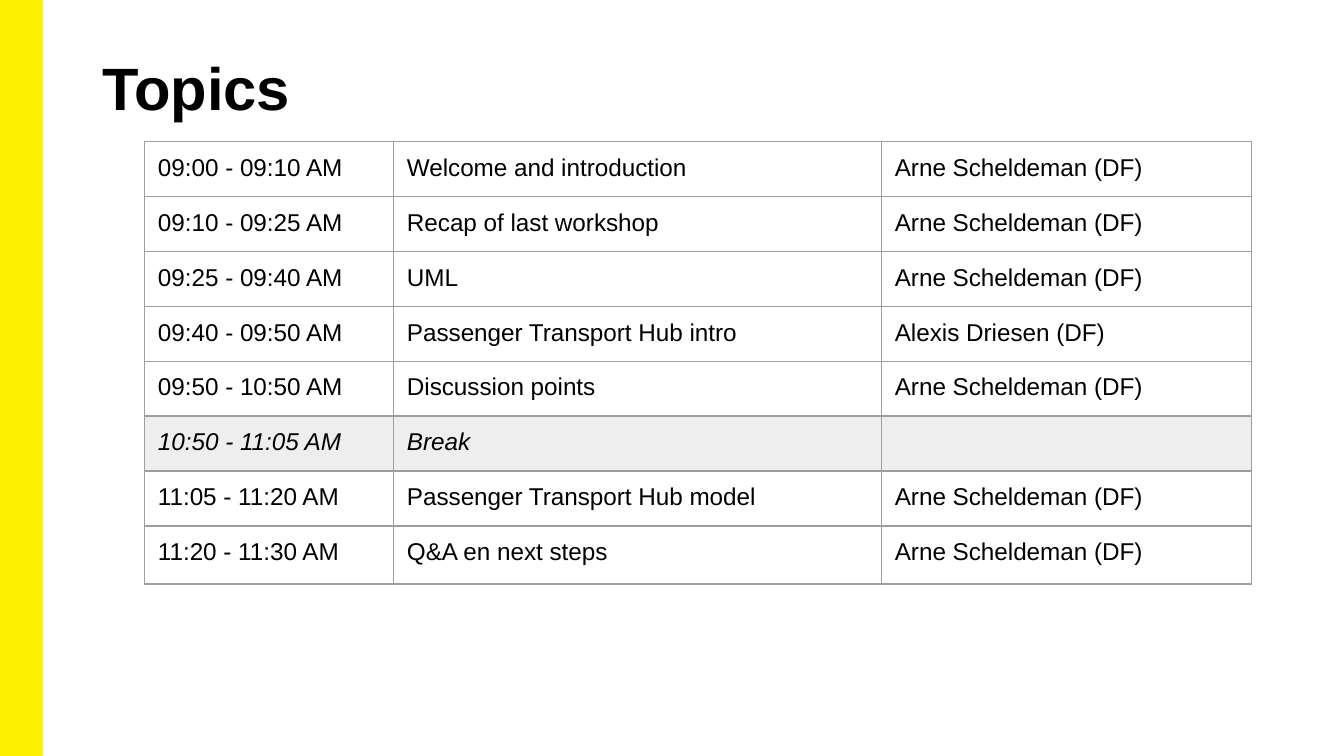
"""Build the workshop agenda slide with its table of topics."""
import pptx
import pptx.util
import pptx.dml.color
import pptx.enum.shapes
import pptx.enum.text
import pptx.oxml
import pptx.oxml.ns
from lxml import etree

Pt = pptx.util.Pt
COLOURS = {"accent": "FFF200", "text": "000000", "border": "9E9E9E",
           "plain": "FFFFFF", "break": "EEEEEE"}
HOST = "Arne Scheldeman (DF)"
AGENDA = [
    ("09:00 - 09:10 AM", "Welcome and introduction", HOST),
    ("09:10 - 09:25 AM", "Recap of last workshop", HOST),
    ("09:25 - 09:40 AM", "UML", HOST),
    ("09:40 - 09:50 AM", "Passenger Transport Hub intro", "Alexis Driesen (DF)"),
    ("09:50 - 10:50 AM", "Discussion points", HOST),
    ("10:50 - 11:05 AM", "Break", ""),
    ("11:05 - 11:20 AM", "Passenger Transport Hub model", HOST),
    ("11:20 - 11:30 AM", "Q&A en next steps", HOST),
]
COLUMN_WIDTHS = [133.4, 261.4, 198.2]
ROW_HEIGHT = 28.9
LAST_ROW_HEIGHT = 31.1


def rgb(name):
    return pptx.dml.color.RGBColor.from_string(COLOURS[name])


def add_span(para, text, size, bold=False, italic=False):
    span = para.add_run()
    span.text = text
    span.font.name = "Arial"
    span.font.size = Pt(size)
    span.font.bold = bold
    span.font.italic = italic
    span.font.color.rgb = rgb("text")


deck = pptx.Presentation()
deck.slide_width, deck.slide_height = Pt(720), Pt(405)
page = deck.slides.add_slide(deck.slide_layouts[6])

stripe = page.shapes.add_shape(
    pptx.enum.shapes.MSO_SHAPE.RECTANGLE, 0, 0, Pt(22.5), Pt(405))
stripe.shadow.inherit = False
stripe.fill.solid()
stripe.fill.fore_color.rgb = rgb("accent")
stripe.line.color.rgb = rgb("accent")
stripe.line.width = Pt(1)

title = page.shapes.add_textbox(Pt(49.7), Pt(21.6), Pt(620.6), Pt(58.3))
frame = title.text_frame
frame.word_wrap = True
frame.vertical_anchor = pptx.enum.text.MSO_ANCHOR.TOP
frame.margin_left = frame.margin_right = Pt(5)
frame.margin_top, frame.margin_bottom = Pt(5.8), Pt(2.9)
add_span(frame.paragraphs[0], "Topics", 32, bold=True)

table_height = ROW_HEIGHT * (len(AGENDA) - 1) + LAST_ROW_HEIGHT
table = page.shapes.add_table(
    len(AGENDA), len(COLUMN_WIDTHS), Pt(77.4), Pt(75.8),
    Pt(sum(COLUMN_WIDTHS)), Pt(table_height)).table
table.first_row = table.horz_banding = False
for column, width in zip(table.columns, COLUMN_WIDTHS):
    column.width = Pt(width)

for row, entry in zip(table.rows, AGENDA):
    row.height = Pt(ROW_HEIGHT)
    is_break = entry[1] == "Break"
    for cell, text in zip(row.cells, entry):
        cell.margin_left = cell.margin_right = Pt(7.2)
        cell.margin_top = cell.margin_bottom = Pt(6.9)
        para = cell.text_frame.paragraphs[0]
        if text:
            add_span(para, text, 13, italic=is_break)
        else:
            etree.SubElement(para._p, pptx.oxml.ns.qn("a:endParaRPr"), sz="1300")
        properties = cell._tc.get_or_add_tcPr()
        for side in ("lnL", "lnR", "lnT", "lnB"):
            properties.append(pptx.oxml.parse_xml(
                f'<a:{side} {pptx.oxml.ns.nsdecls("a")} w="{Pt(0.75)}"><a:solidFill>'
                f'<a:srgbClr val="{COLOURS["border"]}"/></a:solidFill></a:{side}>'))
        cell.fill.solid()
        cell.fill.fore_color.rgb = rgb("break" if is_break else "plain")
table.rows[len(AGENDA) - 1].height = Pt(LAST_ROW_HEIGHT)

deck.save("out.pptx")
